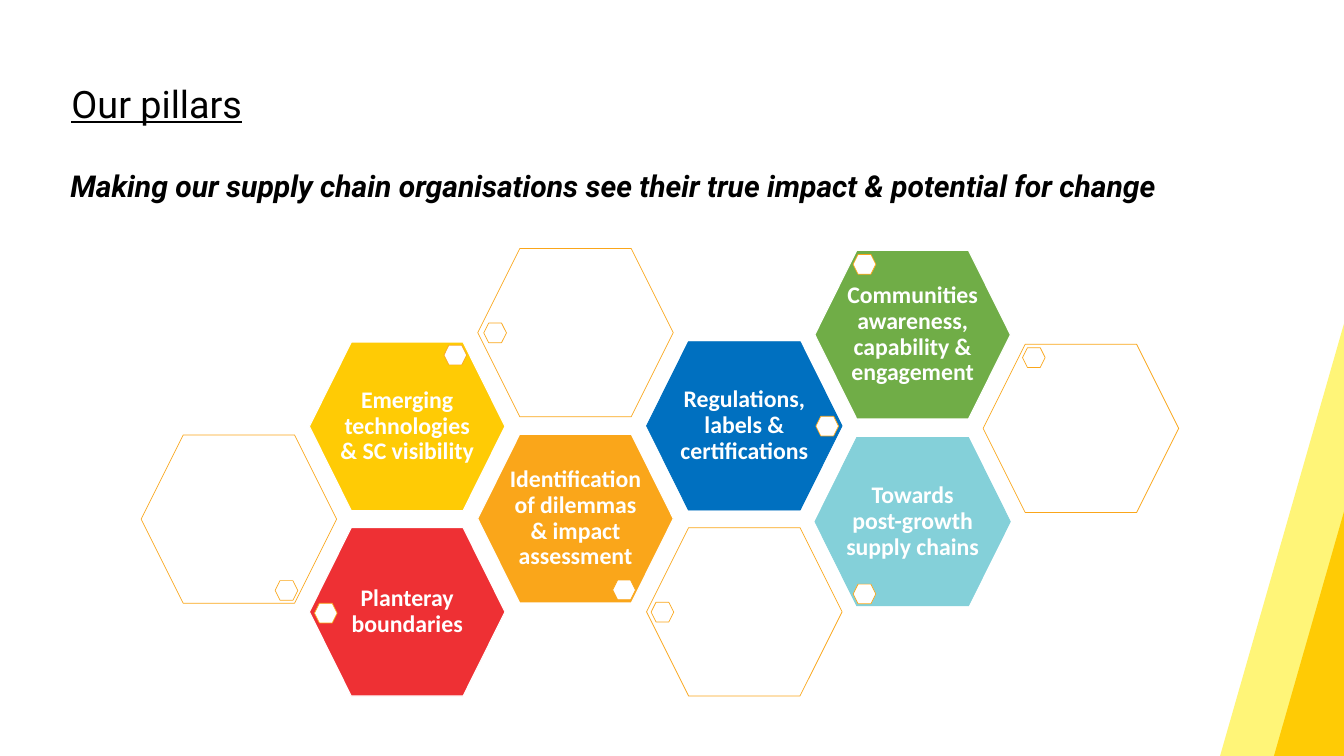
from dataclasses import dataclass

from lxml import etree
from pptx import Presentation
from pptx.dml.color import RGBColor
from pptx.enum.shapes import MSO_SHAPE
from pptx.enum.text import MSO_ANCHOR, PP_ALIGN
from pptx.oxml.ns import qn
from pptx.util import Emu, Pt

PX = 9144  # 100 px to the inch
RECTANGLE, HEXAGON = MSO_SHAPE.RECTANGLE, MSO_SHAPE.HEXAGON
TOP, MIDDLE = MSO_ANCHOR.TOP, MSO_ANCHOR.MIDDLE
LEFT, CENTER = PP_ALIGN.LEFT, PP_ALIGN.CENTER

COLORS = {
    "white": "FFFFFF", "black": "000000", "pale_yellow": "FFF578",
    "yellow": "FFCB05", "orange": "FAA61A", "red": "EE3034",
    "blue": "0070C0", "green": "70AD47", "teal": "84D0D9",
}

CELL_WIDTH, CELL_HEIGHT = 388, 334
CELL_CORNER = 83
COLUMN_START, COLUMN_STEP = 280, 334.2
MARKER_WIDTH, MARKER_HEIGHT = 45, 39

HEADING_FORMAT = {"name": "Roboto", "size": Pt(54), "underline": True}
SUBTITLE_FORMAT = {"name": "Roboto", "size": Pt(43), "bold": True, "italic": True}
PILLAR_FORMAT = {"name": "Calibri", "size": Pt(34), "bold": True}


@dataclass(frozen=True)
class Stripe:
    left: int
    top: int
    width: int
    height: int
    color: str


@dataclass(frozen=True)
class Cell:
    """A honeycomb cell; without text it is an empty outline."""
    column: int
    top: int
    marker_left: int
    marker_top: int
    text: str = ""
    fill: str = "white"
    line: str = "white"
    line_width: float = 1.5

    @property
    def left(self) -> int:
        return COLUMN_START + round(self.column * COLUMN_STEP)


STRIPES = [
    Stripe(2550, 542, 139, 1036, "pale_yellow"),
    Stripe(2605, 911, 179, 666, "yellow"),
]

CELLS = [
    Cell(4, 868, 1693, 1159, "Towards post-growth supply chains", "teal", "teal", 1),
    Cell(1, 1047, 624, 1197, "Planteray boundaries", "red"),
    Cell(0, 863, 546, 1152),
    Cell(2, 862, 1216, 1151, "Identification of dilemmas & impact assessment", "orange"),
    Cell(3, 1047, 1292, 1195),
    Cell(1, 679, 881, 685, "Emerging technologies & SC visibility", "yellow"),
    Cell(2, 493, 960, 641),
    Cell(3, 678, 1619, 826, "Regulations, labels & certifications", "blue", "blue", 1),
    Cell(4, 497, 1693, 505, "Communities awareness, capability & engagement", "green"),
    Cell(5, 683, 2029, 690),
]


def px(*lengths: int) -> list[Emu]:
    return [Emu(length * PX) for length in lengths]


def rgb(name: str) -> RGBColor:
    return RGBColor.from_string(COLORS[name])


def paint(shape, fill: str, line: str | None = None, line_width: float = 1) -> None:
    shape.shadow.inherit = False
    shape.fill.solid()
    shape.fill.fore_color.rgb = rgb(fill)
    if line is None:
        shape.line.fill.background()
    else:
        shape.line.color.rgb = rgb(line)
        shape.line.width = Pt(line_width)


def write(shape, text: str, font_format: dict, color: str, anchor, alignment,
          line_spacing, margins: tuple[int, int]) -> None:
    frame = shape.text_frame
    frame.word_wrap = True
    frame.vertical_anchor = anchor
    frame.margin_left = frame.margin_right = Emu(margins[0] * PX)
    frame.margin_top = frame.margin_bottom = Emu(margins[1] * PX)
    paragraph = frame.paragraphs[0]
    paragraph.alignment = alignment
    paragraph.line_spacing = line_spacing
    run = paragraph.add_run()
    run.text = text
    for attribute, value in font_format.items():
        setattr(run.font, attribute, value)
    run.font.color.rgb = rgb(color)


def draw_stripe(slide, stripe: Stripe) -> None:
    shape = slide.shapes.add_shape(
        RECTANGLE, *px(stripe.left, stripe.top, stripe.width, stripe.height))
    shape.rotation = 16
    paint(shape, stripe.color)


def draw_pillar(slide, cell: Cell) -> None:
    left, top = cell.left, cell.top
    right, bottom = left + CELL_WIDTH, top + CELL_HEIGHT
    middle = top + CELL_HEIGHT // 2
    builder = slide.shapes.build_freeform(left, middle, scale=PX)
    builder.add_line_segments([
        (left + CELL_CORNER, top), (right - CELL_CORNER, top), (right, middle),
        (right - CELL_CORNER, bottom), (left + CELL_CORNER, bottom),
    ], close=True)
    shape = builder.convert_to_shape()
    paint(shape, cell.fill, cell.line, cell.line_width)
    write(shape, cell.text, PILLAR_FORMAT, "white", MIDDLE, CENTER, 0.9, (60, 56))


def draw_outline(slide, cell: Cell) -> None:
    shape = slide.shapes.add_shape(
        HEXAGON, *px(cell.left, cell.top, CELL_WIDTH, CELL_HEIGHT))
    paint(shape, "white", "orange")
    fill_color = shape.element.spPr.find(qn("a:solidFill")).find(qn("a:srgbClr"))
    etree.SubElement(fill_color, qn("a:alpha"), val="90000")


def draw_cell(slide, cell: Cell) -> None:
    if cell.text:
        draw_pillar(slide, cell)
    else:
        draw_outline(slide, cell)
    marker = slide.shapes.add_shape(
        HEXAGON, *px(cell.marker_left, cell.marker_top, MARKER_WIDTH, MARKER_HEIGHT))
    paint(marker, "white", "orange")


def main() -> None:
    presentation = Presentation()
    presentation.slide_width, presentation.slide_height = px(2667, 1500)
    slide = presentation.slides.add_slide(presentation.slide_layouts[6])

    for stripe in STRIPES:
        draw_stripe(slide, stripe)

    heading = slide.shapes.add_textbox(*px(132, 159, 2300, 104))
    write(heading, "Our pillars", HEADING_FORMAT, "black", MIDDLE, LEFT, 0.9, (10, 5))
    subtitle = slide.shapes.add_textbox(*px(130, 273, 2302, 290))
    write(subtitle,
          "Making our supply chain organisations see their true impact"
          " & potential for change",
          SUBTITLE_FORMAT, "black", TOP, LEFT, Pt(90), (10, 5))

    for cell in CELLS:
        draw_cell(slide, cell)

    presentation.save("out.pptx")


if __name__ == "__main__":
    main()
